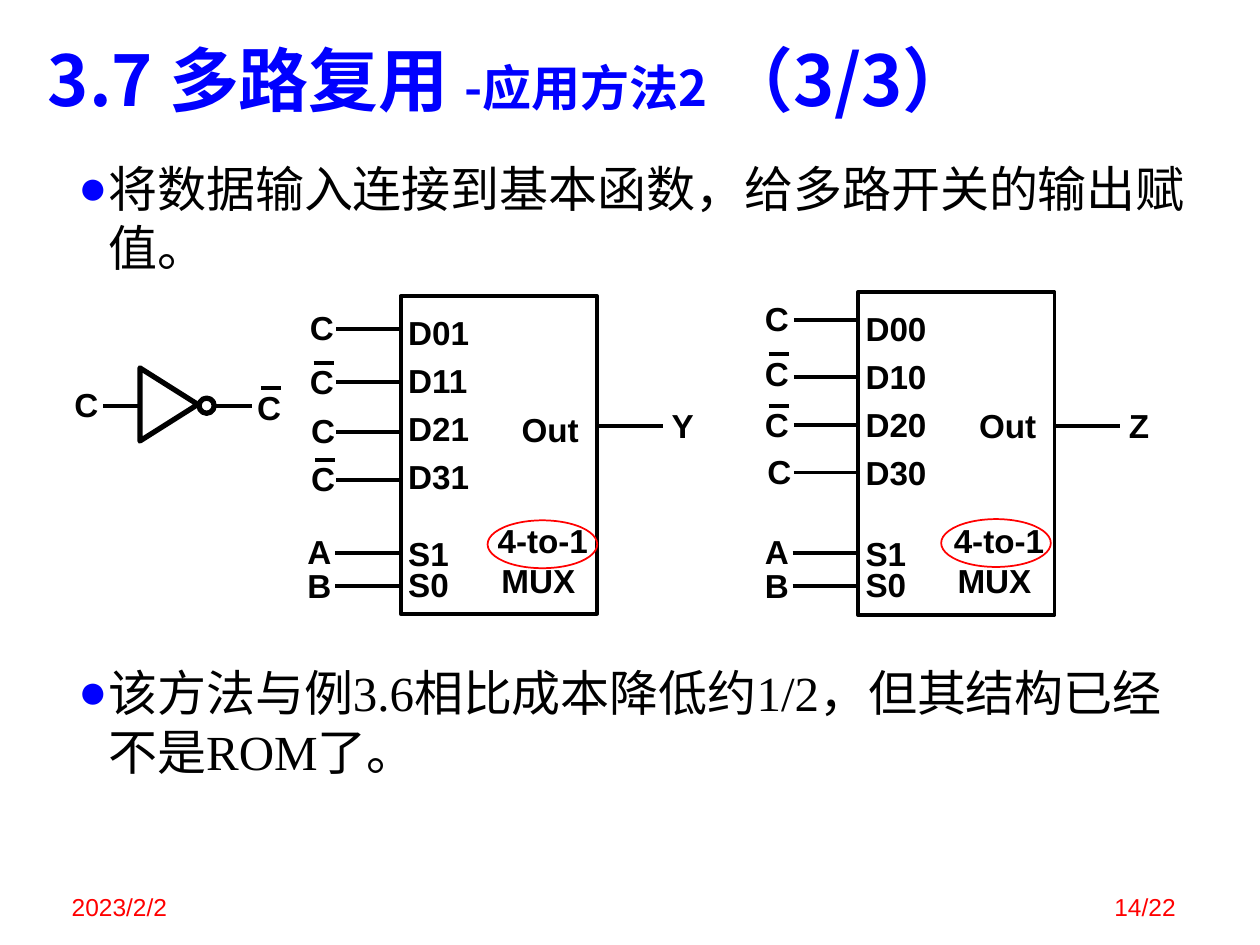
from lxml import etree
from pptx import Presentation
from pptx import util as u
from pptx.dml.color import RGBColor
from pptx.enum import shapes, text
from pptx.oxml.ns import qn

BLUE, BLACK, RED = "0000FF", "000000", "FF0000"
CJK, SERIF, SANS = "Noto Sans CJK JP", "Times New Roman", "Arial"


def color(value):
    return RGBColor.from_string(value)


class Sketch:
    """Style and current slide, with one method for each kind of element."""

    label_size = 19
    wire_width = 2.25
    bar_length = 0.16

    def __init__(self, slide):
        self.slide = slide

    def place(self, item, left, top, width, height):
        item.left, item.top = u.Inches(left), u.Inches(top)
        item.width, item.height = u.Inches(width), u.Inches(height)

    def run(self, paragraph, words, size, font, ink, bold=False):
        run = paragraph.add_run()
        run.text = words
        run.font.size = u.Pt(size)
        run.font.bold = bold
        run.font.color.rgb = color(ink)
        run.font.name = font
        east_asian = etree.SubElement(run.font._element, qn("a:ea"))
        east_asian.set("typeface", CJK)

    def title(self, parts, box):
        heading = self.slide.shapes.title
        self.place(heading, *box)
        frame = heading.text_frame
        frame.auto_size = text.MSO_AUTO_SIZE.NONE
        frame.vertical_anchor = text.MSO_ANCHOR.MIDDLE
        paragraph = frame.paragraphs[0]
        paragraph.alignment = text.PP_ALIGN.LEFT
        for words, size in parts:
            self.run(paragraph, words, size, CJK, BLUE, True)

    def bullet(self, index, words, font, top):
        body = self.slide.placeholders[index]
        self.place(body, 0.36, top, 9.3, 1.04)
        frame = body.text_frame
        frame.auto_size = text.MSO_AUTO_SIZE.NONE
        frame.margin_top = u.Inches(0.05)
        paragraph = frame.paragraphs[0]
        paragraph.line_spacing = u.Pt(33.5)
        paragraph.space_before = u.Pt(0)
        self.run(paragraph, words, 28, font, BLACK)
        props = paragraph._p.get_or_add_pPr()
        props.set("marL", str(u.Inches(0.4)))
        props.set("indent", str(u.Inches(-0.24)))
        bullet_color = etree.SubElement(props, qn("a:buClr"))
        etree.SubElement(bullet_color, qn("a:srgbClr")).set("val", BLUE)
        etree.SubElement(props, qn("a:buFont")).set("typeface", SERIF)
        etree.SubElement(props, qn("a:buChar")).set("char", "●")

    def label(self, words, left, top, width=0.19):
        box = self.slide.shapes.add_textbox(0, 0, 0, 0)
        self.place(box, left, top, width, 0.32)
        frame = box.text_frame
        frame.word_wrap = False
        frame.margin_left = frame.margin_right = 0
        frame.margin_top = frame.margin_bottom = 0
        self.run(frame.paragraphs[0], words, self.label_size, SANS, BLACK, True)

    def signal(self, left, top, inverted=False):
        """Label C, with a bar above it when inverted."""
        self.label("C", left, top)
        if inverted:
            start = left + 0.03
            self.wire(start, start + self.bar_length, top + 0.01)

    def wire(self, start, end, y):
        line = self.slide.shapes.add_connector(
            shapes.MSO_CONNECTOR.STRAIGHT,
            u.Inches(start), u.Inches(y), u.Inches(end), u.Inches(y))
        line.line.color.rgb = color(BLACK)
        line.line.width = u.Pt(self.wire_width)
        etree.SubElement(line._element.spPr, qn("a:effectLst"))

    def outline(self, kind, box, ink=BLACK, width=2.25, rotation=0):
        shape = self.slide.shapes.add_shape(kind, 0, 0, 0, 0)
        self.place(shape, *box)
        shape.rotation = rotation
        shape.shadow.inherit = False
        shape.fill.background()
        shape.line.color.rgb = color(ink)
        shape.line.width = u.Pt(width)

    def footer(self, words, left, alignment):
        box = self.slide.shapes.add_textbox(0, 0, 0, 0)
        self.place(box, left, 6.86, 2.08, 0.5)
        frame = box.text_frame
        frame.word_wrap = True
        frame.vertical_anchor = text.MSO_ANCHOR.BOTTOM
        frame.paragraphs[0].alignment = alignment
        self.run(frame.paragraphs[0], words, 14, SANS, RED)

    def inverter(self):
        self.signal(0.59, 3.05)
        self.wire(0.82, 1.11, 3.22)
        self.outline(shapes.MSO_SHAPE.ISOSCELES_TRIANGLE,
                     (1.05, 2.98, 0.58, 0.46), width=3, rotation=90)
        self.outline(shapes.MSO_SHAPE.OVAL, (1.58, 3.16, 0.12, 0.12), width=3)
        self.wire(1.71, 2, 3.22)
        self.signal(2.04, 3.07, inverted=True)

    def multiplexer(self, left, top, height, inputs, first_pin, output, name_left, ring):
        """Inputs are (pin, signal left, signal top, inverted, wire y)."""
        right = left + 1.56
        pin_left = left + 0.06
        self.outline(shapes.MSO_SHAPE.RECTANGLE, (left, top, 1.56, height))
        for row, (pin, signal_left, signal_top, inverted, wire_y) in enumerate(inputs):
            self.label(pin, pin_left, first_pin + 0.38 * row, 0.5)
            self.signal(signal_left, signal_top, inverted)
            self.wire(left - 0.51, left, wire_y)
        selects = (("S1", 4.23, "A", 4.22, 4.39), ("S0", 4.48, "B", 4.49, 4.65))
        for pin, pin_top, source, source_top, wire_y in selects:
            self.label(pin, pin_left, pin_top, 0.34)
            self.label(source, left - 0.74, source_top)
            self.wire(left - 0.52, left, wire_y)
        self.label("Out", left + 0.96, first_pin + 0.77, 0.48)
        self.wire(right, right + 0.52, 3.38)
        self.label(output, right + 0.59, 3.22)
        self.label("4-to-1", name_left, 4.13, 0.74)
        self.label("MUX", name_left + 0.03, 4.45, 0.61)
        self.outline(shapes.MSO_SHAPE.OVAL, (*ring, 0.87, 0.38), RED, 1)


def main():
    deck = Presentation()
    deck.slide_width, deck.slide_height = u.Inches(10), u.Inches(7.5)
    two_content = deck.slide_layouts[3]
    sketch = Sketch(deck.slides.add_slide(two_content))

    sketch.title([("3.7 多路复用 ", 40), ("-应用方法2", 28), (" （3/3）", 40)],
                 (0.28, 0.24, 9.5, 0.77))
    sketch.bullet(1, "将数据输入连接到基本函数，给多路开关的输出赋值。", CJK, 1.21)
    sketch.bullet(2, "该方法与例3.6相比成本降低约1/2，但其结构已经不是ROM了。", SERIF, 5.21)

    y_inputs = [
        ("D01", 2.46, 2.44, False, 2.61),
        ("D11", 2.46, 2.87, True, 3.03),
        ("D21", 2.47, 3.26, False, 3.43),
        ("D31", 2.47, 3.64, True, 3.81),
    ]
    z_inputs = [
        ("D00", 6.07, 2.37, False, 2.54),
        ("D10", 6.07, 2.8, True, 2.99),
        ("D20", 6.07, 3.21, True, 3.37),
        ("D30", 6.09, 3.58, False, 3.75),
    ]
    sketch.multiplexer(3.18, 2.35, 2.52, y_inputs, 2.48, "Y", 3.95, (3.87, 4.13))
    sketch.multiplexer(6.81, 2.32, 2.56, z_inputs, 2.45, "Z", 7.57, (7.47, 4.12))
    sketch.inverter()

    sketch.footer("2023/2/2", 0.47, text.PP_ALIGN.LEFT)
    sketch.footer("14/22", 7.35, text.PP_ALIGN.RIGHT)
    deck.save("out.pptx")


if __name__ == "__main__":
    main()
